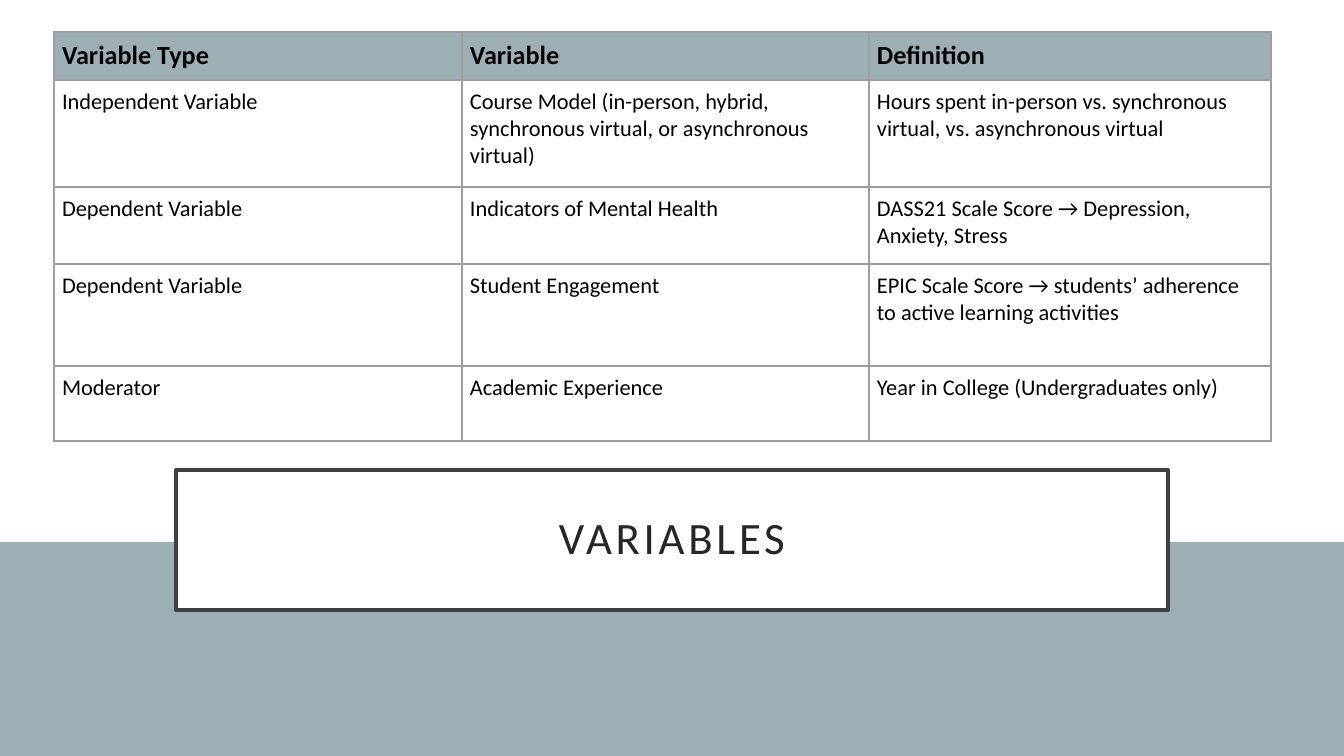
"""Build a slide with a table of study variables above a framed title."""
from lxml import etree
from pptx import Presentation
from pptx import util as u
from pptx.dml.color import RGBColor
from pptx.enum import shapes, text
from pptx.oxml import ns

SCALE = 914400 / 134.4
FONT = "Calibri"
TEAL = RGBColor(0x9B, 0xAF, 0xB5)
WHITE = RGBColor(0xFF, 0xFF, 0xFF)
BLACK = RGBColor(0x00, 0x00, 0x00)
INK = RGBColor(0x26, 0x26, 0x26)
FRAME = RGBColor(0x40, 0x40, 0x40)
GRID = RGBColor(0x9E, 0x9E, 0x9E)

COLS = [408, 407, 402]
ROWS = [48, 107, 77, 102, 75]
CELLS = [
    ["Variable Type", "Variable", "Definition"],
    ["Independent Variable",
     "Course Model (in-person, hybrid, synchronous virtual, or asynchronous virtual)",
     "Hours spent in-person vs. synchronous virtual, vs. asynchronous virtual"],
    ["Dependent Variable", "Indicators of Mental Health",
     "DASS21 Scale Score → Depression, Anxiety, Stress"],
    ["Dependent Variable", "Student Engagement",
     "EPIC Scale Score → students’ adherence to active learning activities"],
    ["Moderator", "Academic Experience", "Year in College (Undergraduates only)"],
]


def px(n):
    """Turn pixels into EMU."""
    return u.Emu(round(n * SCALE))


def add_run(para, words, size, color, bold=False):
    """Add one formatted run to a paragraph."""
    run = para.add_run()
    run.text = words
    font = run.font
    font.name, font.size, font.bold = FONT, u.Pt(size), bold
    font.color.rgb = color
    return run


def add_band(slide):
    """Fill the foot of the slide, behind everything else."""
    band = slide.shapes.add_shape(
        shapes.MSO_SHAPE.RECTANGLE, 0, px(542), px(1344), px(214))
    band.shadow.inherit = False
    band.fill.solid()
    band.fill.fore_color.rgb = TEAL
    band.line.fill.background()
    slide.shapes.element.insert(2, band.element)


def set_title(slide, words):
    """Place the title in its framed box."""
    box = slide.shapes.title
    box.left, box.top, box.width, box.height = map(px, (176, 470, 992, 140))
    box.fill.solid()
    box.fill.fore_color.rgb = WHITE
    box.line.color.rgb = FRAME
    box.line.width = u.Pt(2.5)
    frame = box.text_frame
    frame.word_wrap = True
    frame.auto_size = text.MSO_AUTO_SIZE.NONE
    frame.vertical_anchor = text.MSO_ANCHOR.MIDDLE
    frame.margin_left = frame.margin_right = px(40)
    frame.margin_top = frame.margin_bottom = px(27)
    para = frame.paragraphs[0]
    para.alignment = text.PP_ALIGN.CENTER
    para.line_spacing = 0.9
    run = add_run(para, words, 24, INK)
    run.font.element.set("spc", "200") if hasattr(run.font, "element") else \
        run._r.get_or_add_rPr().set("spc", "200")


def set_edges(cell):
    """Draw the four borders of a cell."""
    props = cell._tc.get_or_add_tcPr()
    for side in ("lnL", "lnR", "lnT", "lnB"):
        line = etree.SubElement(props, ns.qn(f"a:{side}"), w=str(u.Pt(0.75)))
        fill = etree.SubElement(line, ns.qn("a:solidFill"))
        etree.SubElement(fill, ns.qn("a:srgbClr"), val=str(GRID))


def set_cell(cell, words, head):
    """Format and fill one table cell."""
    cell.margin_left = cell.margin_right = px(8)
    cell.margin_top = cell.margin_bottom = px(8)
    set_edges(cell)
    if head:
        cell.fill.solid()
        cell.fill.fore_color.rgb = TEAL
    else:
        cell.fill.background()
    add_run(cell.text_frame.paragraphs[0], words, 14 if head else 12, BLACK, head)


def add_grid(slide):
    """Add the table of variables."""
    table = slide.shapes.add_table(
        len(ROWS), len(COLS), px(54), px(32), px(sum(COLS)), px(sum(ROWS))).table
    table.horz_banding = False
    for col, width in zip(table.columns, COLS):
        col.width = px(width)
    for r, (row, height) in enumerate(zip(table.rows, ROWS)):
        row.height = px(height)
        for cell, words in zip(row.cells, CELLS[r]):
            set_cell(cell, words, r == 0)


def main():
    """Build and save the slide."""
    deck = Presentation()
    deck.slide_width, deck.slide_height = px(1344), px(756)
    slide = deck.slides.add_slide(deck.slide_layouts[5])
    add_band(slide)
    set_title(slide, "VARIABLES")
    add_grid(slide)
    deck.save("out.pptx")


if __name__ == "__main__":
    main()
